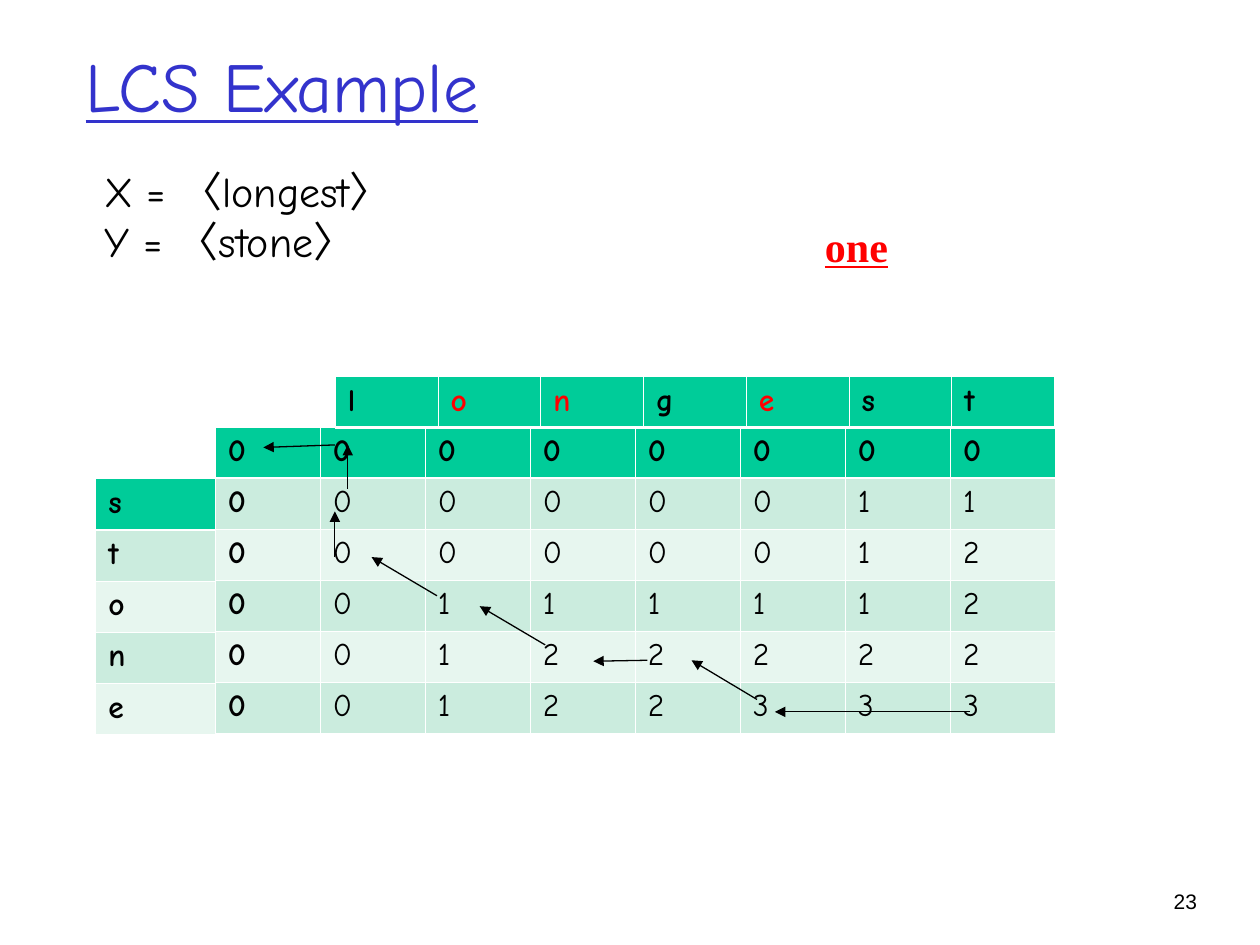
from lxml.etree import SubElement
from pptx import Presentation
from pptx.dml.color import RGBColor
from pptx.enum.shapes import MSO_CONNECTOR
from pptx.enum.text import MSO_ANCHOR, MSO_AUTO_SIZE, PP_ALIGN
from pptx.oxml.ns import qn
from pptx.util import Cm, Pt

COLORS = {
    "black": "000000",
    "white": "FFFFFF",
    "title": "3333CC",
    "match": "FF0000",
    "header": "00CC99",
    "band_dark": "CBECDE",
    "band_light": "E7F6EF",
}
HAND_FONT = "Comic Neue"
SUBSEQUENCE = "one"
LENGTHS = ["00000000", "00000011", "00000012", "00111112", "00122222", "00122333"]

# Boxes are left, top, width, height in centimetres.
TITLE_BOX = (1.47, 0.64, 21.59, 2.13)
STRINGS_BOX = (1.85, 3.4, 9.86, 2.62)
ANSWER_BOX = (16.38, 4.32, 1.78, 1.27)
NUMBER_BOX = (22.35, 17.78, 2.03, 0.81)
GRID_BOX = (4.34, 8.61, 16.94, 6.17)
ACROSS_BOX = (6.76, 7.59, 14.5, 1.03)
DOWN_BOX = (1.93, 9.65, 2.41, 5.16)

# Start and end of each traceback arrow, in centimetres from the grid corner.
TRACEBACK = [
    ((15.21, 5.74), (11.28, 5.74)),
    ((10.92, 5.49), (9.6, 4.7)),
    ((8.71, 4.7), (7.62, 4.72)),
    ((6.65, 4.39), (5.33, 3.61)),
    ((4.47, 3.4), (3.15, 2.62)),
    ((2.41, 2.62), (2.41, 1.7)),
    ((2.67, 1.24), (2.67, 0.36)),
    ((2.41, 0.36), (0.97, 0.41)),
]


def rgb(name):
    return RGBColor.from_string(COLORS[name])


def format_font(font, size, color="black", name=HAND_FONT, bold=False, underline=False):
    font.size, font.name = Pt(size), name
    font.bold, font.underline = bold, underline
    font.color.rgb = rgb(color)


def add_title(page, box, text):
    title = page.shapes.title
    title.left, title.top, title.width, title.height = map(Cm, box)
    frame = title.text_frame
    frame.text = text
    frame.auto_size = MSO_AUTO_SIZE.NONE
    frame.vertical_anchor = MSO_ANCHOR.MIDDLE
    frame.paragraphs[0].alignment = PP_ALIGN.LEFT
    format_font(frame.paragraphs[0].runs[0].font, 40, "title", underline=True)


def add_label(page, box, text, wrap=True, align=PP_ALIGN.LEFT, **font):
    frame = page.shapes.add_textbox(*map(Cm, box)).text_frame
    frame.word_wrap = wrap
    frame.text = text
    frame.paragraphs[0].alignment = align
    format_font(frame.paragraphs[0].runs[0].font, **font)


def add_strings(page, box, strings):
    """List the named strings, each between angle brackets."""
    frame = page.shapes.add_textbox(*map(Cm, box)).text_frame
    frame.word_wrap = True
    for index, (name, string) in enumerate(strings):
        para = frame.add_paragraph() if index else frame.paragraphs[0]
        para.line_spacing = 0.8
        if index:
            para.space_before = Pt(6)
        for text in (f"{name} = ", "〈", string, "〉"):
            span = para.add_run()
            span.text = text
            format_font(span.font, 24, name="Arial" if text in "〈〉" else HAND_FONT)


def set_borders(cell, top, bottom):
    """Draw white cell borders; top and bottom are widths in points."""
    properties = cell._tc.get_or_add_tcPr()
    for side, width in (("L", 0.45), ("R", 0.45), ("T", top), ("B", bottom)):
        line = SubElement(properties, qn(f"a:ln{side}"), w=str(Pt(width)))
        fill = SubElement(line, qn("a:solidFill"))
        SubElement(fill, qn("a:srgbClr"), val=COLORS["white"])


def add_letter_table(page, box, rows, is_bold, matches=""):
    """Add a banded table with one character per cell under a green first row."""
    row_count, column_count = len(rows), len(rows[0])
    left, top, width, height = map(Cm, box)
    table = page.shapes.add_table(
        row_count, column_count, left, top, width, height
    ).table
    table.first_row = table.horz_banding = False
    for row_index, letters in enumerate(rows):
        if row_index == 0:
            fill = "header"
        else:
            fill = "band_dark" if row_index % 2 else "band_light"
        for column_index, letter in enumerate(letters):
            cell = table.cell(row_index, column_index)
            set_borders(
                cell,
                top=1.47 if row_index == 1 else 0.45,
                bottom=1.47 if row_index == 0 else 0.45,
            )
            cell.fill.solid()
            cell.fill.fore_color.rgb = rgb(fill)
            cell.text = letter
            format_font(
                cell.text_frame.paragraphs[0].runs[0].font,
                18,
                "match" if letter in matches else "black",
                bold=is_bold(row_index, column_index),
            )


def add_traceback(page, box, steps):
    left, top = box[:2]
    for (start_x, start_y), (end_x, end_y) in steps:
        arrow = page.shapes.add_connector(
            MSO_CONNECTOR.STRAIGHT,
            Cm(left + start_x), Cm(top + start_y),
            Cm(left + end_x), Cm(top + end_y),
        )
        arrow.line.width = Pt(0.75)
        arrow.line.color.rgb = rgb("black")
        SubElement(arrow.line._get_or_add_ln(), qn("a:tailEnd"), type="triangle")
        SubElement(arrow._element.spPr, qn("a:effectLst"))


def add_lcs_slide(deck):
    page = deck.slides.add_slide(deck.slide_layouts[5])
    add_title(page, TITLE_BOX, "LCS Example")
    add_label(page, NUMBER_BOX, "23", align=PP_ALIGN.RIGHT, size=12, name="Arial")
    add_letter_table(
        page, GRID_BOX, LENGTHS, lambda row, column: row == 0 or column == 0
    )
    add_strings(page, STRINGS_BOX, [("X", "longest"), ("Y", "stone")])
    add_letter_table(
        page, ACROSS_BOX, ["longest"], lambda row, column: True, SUBSEQUENCE
    )
    add_letter_table(page, DOWN_BOX, list("stone"), lambda row, column: True)
    add_traceback(page, GRID_BOX, TRACEBACK)
    add_label(
        page, ANSWER_BOX, SUBSEQUENCE, wrap=False, size=24, color="match",
        name="Times New Roman", bold=True, underline=True,
    )


def main():
    deck = Presentation()
    deck.slide_width, deck.slide_height = Cm(25.4), Cm(19.05)
    add_lcs_slide(deck)
    deck.save("out.pptx")


if __name__ == "__main__":
    main()
